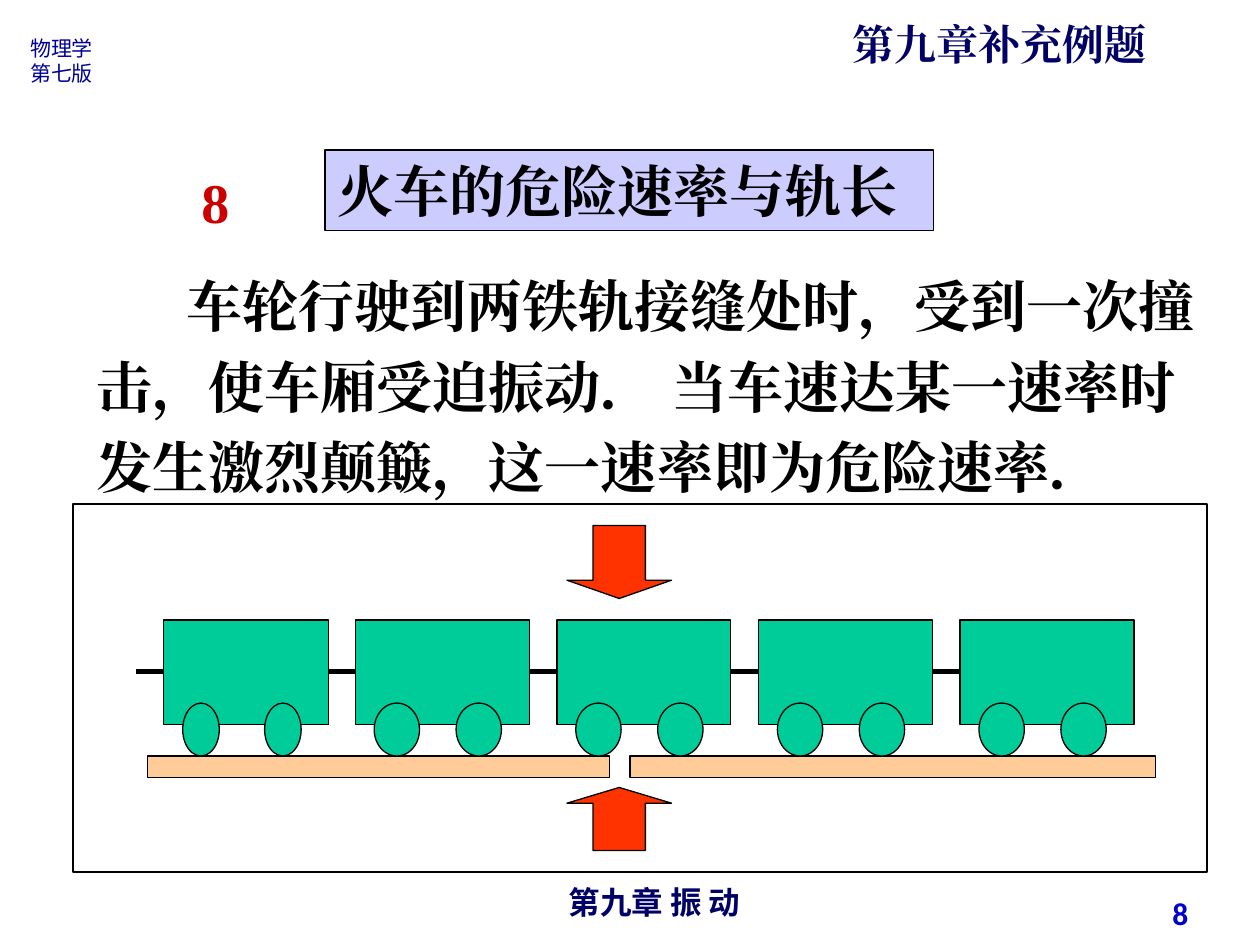
"""Build the slide on the dangerous speed of a train and rail length."""
import pptx
import pptx.chart.data
import pptx.dml.color
import pptx.enum.shapes
import pptx.enum.text
import pptx.oxml
import pptx.oxml.ns
import pptx.util

Inches = pptx.util.Inches
Pt = pptx.util.Pt
SHAPE = pptx.enum.shapes.MSO_SHAPE
ALIGN = pptx.enum.text.PP_ALIGN
ANCHOR = pptx.enum.text.MSO_ANCHOR
rgb = pptx.dml.color.RGBColor.from_string

deck = pptx.Presentation()
deck.slide_width, deck.slide_height = Inches(10), Inches(7.5)
slide = deck.slides.add_slide(deck.slide_layouts[6])


def add_block(kind, left, top, width, height, fill=None):
    block = slide.shapes.add_shape(
        kind, Inches(left), Inches(top), Inches(width), Inches(height))
    block.shadow.inherit = False
    if fill:
        block.fill.solid()
        block.fill.fore_color.rgb = rgb(fill)
    else:
        block.fill.background()
    block.line.color.rgb = rgb("000000")
    block.line.width = Pt(0.75)
    return block


def write(holder, text, size, face, color, bold=True, align=ALIGN.LEFT, wrap=True):
    frame = holder.text_frame
    frame.word_wrap = wrap
    frame.vertical_anchor = ANCHOR.TOP
    frame.text = text
    for paragraph in frame.paragraphs:
        paragraph.alignment = align
        font = paragraph.font
        font.size, font.name, font.bold = Pt(size), face, bold
        font.color.rgb = rgb(color)
        defaults = paragraph._p.pPr.find(pptx.oxml.ns.qn("a:defRPr"))
        defaults.append(pptx.oxml.parse_xml(
            f'<a:ea {pptx.oxml.ns.nsdecls("a")} typeface="{face}"/>'))
    return frame


SERIF, SANS = "Times New Roman", "Noto Sans CJK SC"
labels = [
    ((6.67, 0.1, 3.17, 0.5), "第九章补充例题", 24, SERIF, "000066", True, ALIGN.LEFT, True),
    ((3.34, 6.96, 3.71, 0.37), "第九章 振 动", 18, SANS, "000066", True, ALIGN.CENTER, True),
    ((7.2, 7.05, 2.33, 0.4), "8", 18, "Calibri", "0000CC", True, ALIGN.RIGHT, True),
    ((0.14, 0.23, 0.72, 0.5), "物理学\n第七版", 12, SANS, "000099", False, ALIGN.LEFT, True),
    ((1.5, 1.28, 0.53, 0.64), "8", 32, SERIF, "CC0000", True, ALIGN.LEFT, False),
]
for place, *style in labels:
    write(slide.shapes.add_textbox(*map(Inches, place)), *style)

heading = add_block(SHAPE.RECTANGLE, 2.58, 1.19, 4.83, 0.64, "CCCCFF")
write(heading, "火车的危险速率与轨长", 32, SERIF, "000000")

explanation = write(
    slide.shapes.add_textbox(Inches(0.67), Inches(2), Inches(8.98), Inches(2.02)),
    "车轮行驶到两铁轨接缝处时，受到一次撞击，使车厢受迫振动． 当车速达某一速率时"
    "发生激烈颠簸，这一速率即为危险速率．", 32, SERIF, "000000")
explanation.paragraphs[0].line_spacing = 1.2
explanation.paragraphs[0]._p.pPr.set("indent", str(Inches(0.71)))

for rail_left, rail_width in [(5, 4.17), (1.17, 3.67)]:
    add_block(SHAPE.RECTANGLE, rail_left, 6, rail_width, 0.17, "FFCC99")

cars = [(1.3, 1.31, 0.29)] + [(2.82 + 1.6 * i, 1.38, 0.36) for i in range(4)]
for car_left, car_width, wheel_width in cars:
    coupling = slide.shapes.add_connector(
        pptx.enum.shapes.MSO_CONNECTOR.STRAIGHT,
        Inches(car_left - 0.22), Inches(5.33), Inches(car_left), Inches(5.33))
    coupling.line.color.rgb = rgb("000000")
    coupling.line.width = Pt(3)
    coupling._element.spPr.append(pptx.oxml.parse_xml(
        f'<a:effectLst {pptx.oxml.ns.nsdecls("a")}/>'))
    add_block(SHAPE.RECTANGLE, car_left, 4.92, car_width, 0.83, "00CC99")
    for wheel_offset in (0.15, 0.8):
        add_block(SHAPE.OVAL, car_left + wheel_offset, 5.58, wheel_width, 0.42, "00CC99")

for direction, arrow_top, arrow_height in [
        (SHAPE.UP_ARROW, 6.25, 0.5), (SHAPE.DOWN_ARROW, 4.17, 0.58)]:
    impact = add_block(direction, 4.5, arrow_top, 0.83, arrow_height, "FF3300")
    impact.adjustments[0], impact.adjustments[1] = 0.5, 0.25

add_block(SHAPE.RECTANGLE, 0.58, 4, 9, 2.92)

deck.save("out.pptx")
